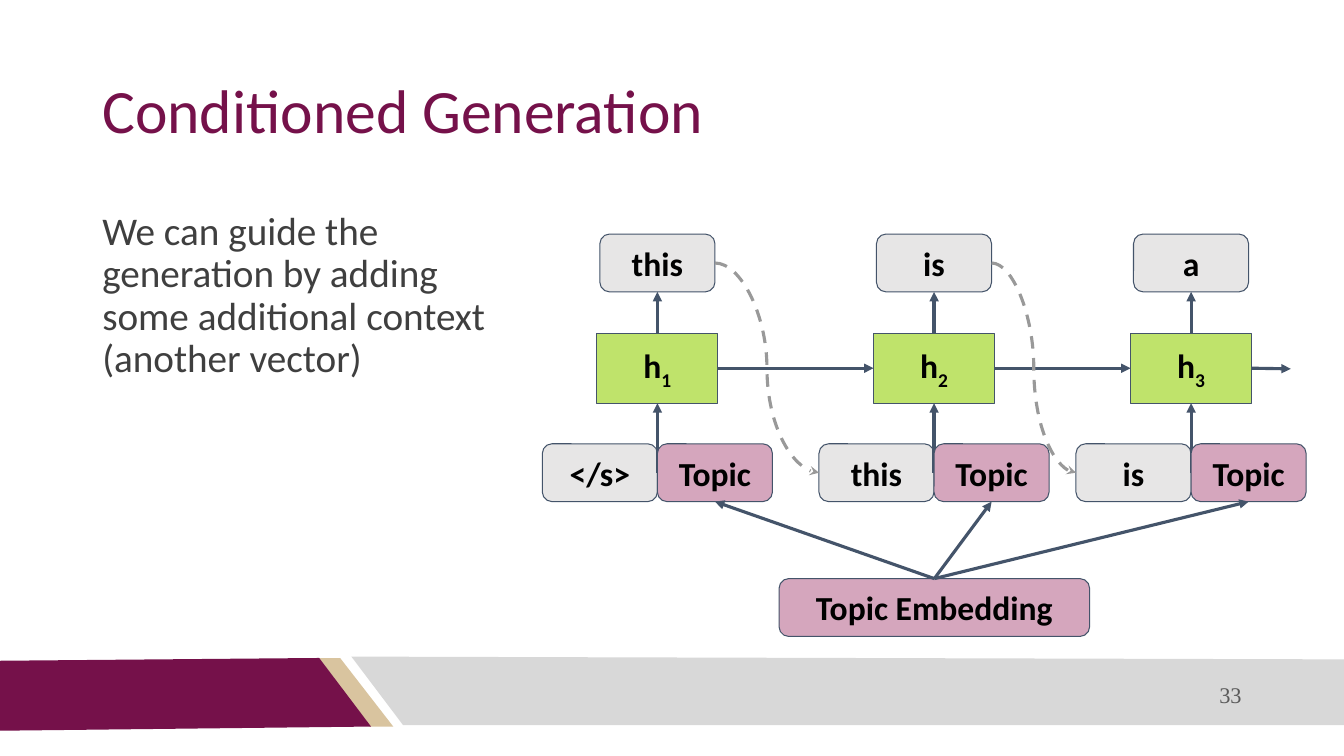
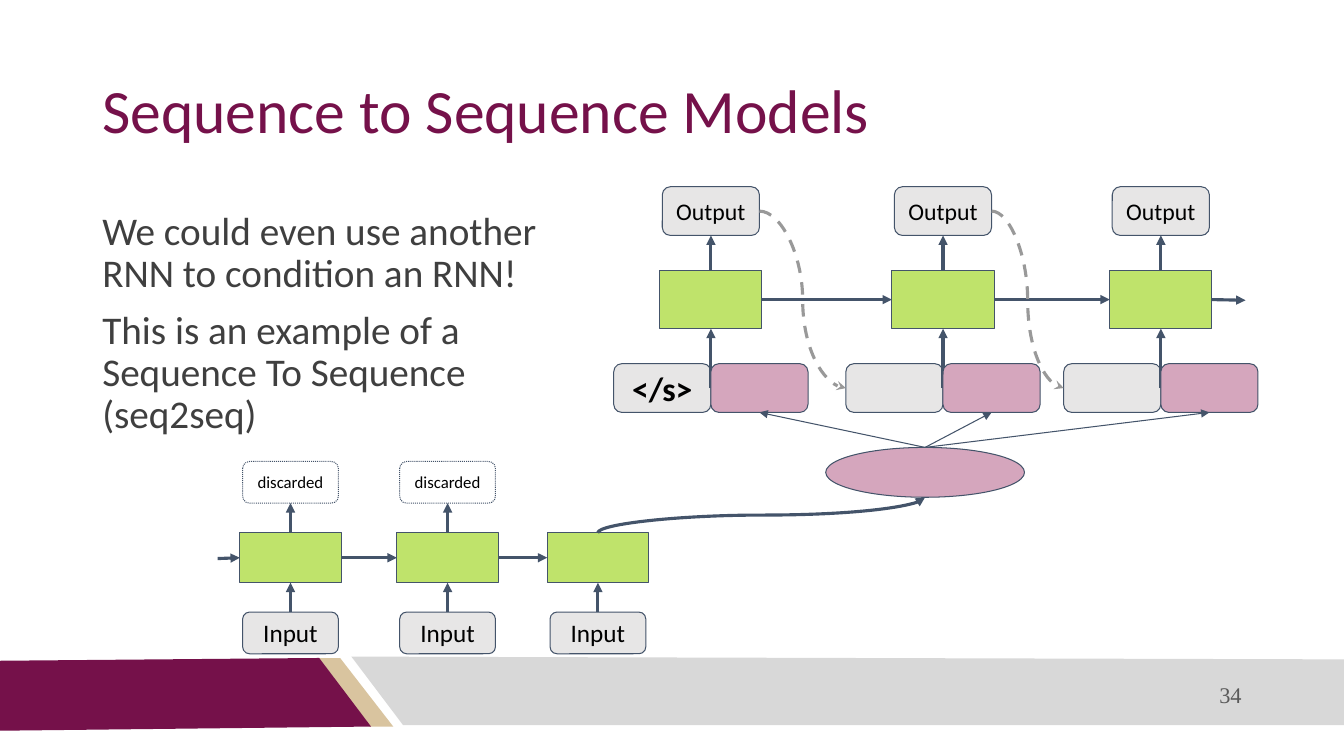
"""Build two slides on conditioned generation and sequence to sequence models."""
from lxml import etree
from pptx import Presentation
from pptx.dml.color import RGBColor
from pptx.enum import dml, shapes, text
from pptx.oxml import ns
from pptx.util import Pt

PLUM = RGBColor(0x75, 0x11, 0x4A)
TAN = RGBColor(0xD9, 0xC4, 0x9F)
SILVER = RGBColor(0xD8, 0xD8, 0xD8)
INK = RGBColor(0x3F, 0x3F, 0x3F)
SLATE = RGBColor(0x59, 0x59, 0x59)
BLACK = RGBColor(0, 0, 0)
WHITE = RGBColor(0xFF, 0xFF, 0xFF)
LIME = RGBColor(0xB0, 0xDD, 0x46)
PINK = RGBColor(0xD5, 0xA6, 0xBD)
MIST = RGBColor(0xE7, 0xE6, 0xE6)
NAVY = RGBColor(0x44, 0x54, 0x6A)
GREY = RGBColor(0x99, 0x99, 0x99)

RECT = shapes.MSO_SHAPE.RECTANGLE
ROUND = shapes.MSO_SHAPE.ROUNDED_RECTANGLE
OVAL = shapes.MSO_SHAPE.OVAL
LINE = shapes.MSO_CONNECTOR.STRAIGHT
CURVE = shapes.MSO_CONNECTOR.CURVE
MIDDLE = text.MSO_ANCHOR.MIDDLE
LEFT, CENTER, RIGHT = text.PP_ALIGN.LEFT, text.PP_ALIGN.CENTER, text.PP_ALIGN.RIGHT
TOP, WEST, BASE, EAST = range(4)

BANDS = [
    (TAN, [(227.5, 470), (243.4, 470), (280.8, 519), (264.2, 519)]),
    (PLUM, [(0, 471.6), (228.2, 470.2), (265, 519), (0, 522)]),
    (SILVER, [(251.3, 468.7), (960, 471), (960, 517.7), (288, 517.7)]),
]

PAGES = [
    dict(
        title="Conditioned Generation", number="33", width=313,
        body=["We can guide the generation by adding some additional context (another vector)"],
        mids=[469.6, 667.2, 850.8], cell=(86.4, 50), pill=(82.2, 41.3),
        rows=(167.2, 238, 317), tip=28, size=24, bold=True,
        outs=["this", "is", "a"], marks=["1", "2", "3"],
        ins=["</s>", "this", "is"], topic="Topic",
        hub=(ROUND, (556.5, 413.3, 221.8, 41.3), "Topic Embedding"), ray=2.25,
    ),
    dict(
        title="Sequence to Sequence Models", number="34", width=360,
        body=["We could even use another RNN to condition an RNN!",
              "This is an example of a Sequence To Sequence (seq2seq)"],
        mids=[507.8, 673.6, 829.2], cell=(73, 41.6), pill=(69.4, 34.8),
        rows=(133.4, 193.2, 259.8), tip=24, size=17, bold=False,
        outs=["Output"] * 3, marks=[""] * 3,
        ins=["</s>", "", ""], topic="",
        hub=(OVAL, (589.8, 319.6, 142, 35.6), ""), ray=0.75,
    ),
]


def box(page, form, area, lines=(), fill=None, size=24, bold=False, hue=BLACK,
        face="Calibri", align=CENTER, anchor=MIDDLE, gap=1, sub=""):
    """Add a shape, or a text box when form is None, with its text."""
    area = [Pt(v) for v in area]
    if form is None:
        shape = page.shapes.add_textbox(*area)
    else:
        shape = page.shapes.add_shape(form, *area)
        shape.shadow.inherit = False
        shape.fill.solid()
        shape.fill.fore_color.rgb = fill
        shape.line.color.rgb = NAVY
        shape.line.width = Pt(0.75)
    frame = shape.text_frame
    frame.word_wrap = True
    frame.vertical_anchor = anchor
    for side in ("left", "top", "right", "bottom"):
        setattr(frame, "margin_" + side, Pt(7.2))
    for i, words in enumerate(lines):
        para = frame.add_paragraph() if i else frame.paragraphs[0]
        para.alignment = align
        para.line_spacing = gap
        if i:
            para.space_before = Pt(10)
        for part in filter(None, (words, sub)):
            run = para.add_run()
            run.text = part
            run.font.color.rgb = hue
            for key, value in dict(name=face, size=Pt(size), bold=bold).items():
                setattr(run.font, key, value)
        if sub:
            run.font._element.set("baseline", "-25000")
    return shape


def link(page, start=None, stop=None, ends=(0, 0, 0, 0), kind=LINE,
         hue=NAVY, width=2.25, dash=None, head="triangle"):
    """Add an arrow, joined to a (shape, side) pair at either end."""
    line = page.shapes.add_connector(kind, *[Pt(v) for v in ends])
    if start:
        line.begin_connect(*start)
    if stop:
        line.end_connect(*stop)
    line.line.color.rgb = hue
    line.line.width = Pt(width)
    if dash:
        line.line.dash_style = dash
    props = line._element.spPr
    etree.SubElement(props.find(ns.qn("a:ln")), ns.qn("a:tailEnd"), type=head)
    etree.SubElement(props, ns.qn("a:effectLst"))
    return line


deck = Presentation()
deck.slide_width, deck.slide_height = Pt(960), Pt(540)

for plan in PAGES:
    page = deck.slides.add_slide(deck.slide_layouts[6])
    for hue, spots in BANDS:
        pen = page.shapes.build_freeform(*spots[0], scale=Pt(1))
        pen.add_line_segments(spots[1:], close=True)
        band = pen.convert_to_shape()
        band.shadow.inherit = False
        band.fill.solid()
        band.fill.fore_color.rgb = hue
        band.line.fill.background()
    box(page, None, (66, 28.8, 828, 104.4), [plan["title"]],
        size=44, hue=PLUM, align=LEFT, gap=0.9)
    box(page, None, (66, 144, plan["width"], 300), plan["body"], size=28, hue=INK,
        align=LEFT, anchor=text.MSO_ANCHOR.TOP, gap=0.9)
    box(page, None, (570, 481.7, 324, 28.8), [plan["number"]],
        size=16, hue=SLATE, face="Times New Roman", align=RIGHT)

    wide, high = plan["cell"]
    long, tall = plan["pill"]
    above, level, below = plan["rows"]
    cells, outs, feeds, topics = [], [], [], []
    for mid, out, mark, word in zip(plan["mids"], plan["outs"], plan["marks"], plan["ins"]):
        cell = box(page, RECT, (mid - wide / 2, level, wide, high),
                   ["h"] if mark else [], LIME, bold=True, sub=mark)
        top = box(page, ROUND, (mid - long / 2, above, long, tall), [out], MIST,
                  size=plan["size"], bold=plan["bold"])
        feed = box(page, ROUND, (mid - long, below, long, tall),
                   [word] if word else [], MIST, bold=True)
        link(page, (feed, EAST), (cell, BASE))
        link(page, (cell, TOP), (top, BASE))
        topic = box(page, ROUND, (mid, below, long, tall),
                    [plan["topic"]] if plan["topic"] else [], PINK, bold=True)
        if cells:
            link(page, (cells[-1], EAST), (cell, WEST))
            link(page, (outs[-1], EAST), (feed, WEST), kind=CURVE, hue=GREY,
                 dash=dml.MSO_LINE.DASH, head="stealth")
        cells.append(cell)
        outs.append(top)
        topics.append(topic)
    edge, axis = plan["mids"][-1] + wide / 2, level + high / 2
    link(page, (cells[-1], EAST), ends=(edge, axis, edge + plan["tip"], axis + 0.5))
    form, area, words = plan["hub"]
    hub = box(page, form, area, [words] if words else [], PINK, bold=True)
    for topic in topics:
        link(page, (hub, TOP), (topic, BASE), width=plan["ray"])

    if form == OVAL:
        last = None
        for mid, word in ((207.5, "discarded"), (319.7, "discarded"), (427.1, "")):
            cell = box(page, RECT, (mid - 36.2, 380.6, 72.4, 35.6), fill=LIME)
            feed = box(page, ROUND, (mid - 34.2, 437.2, 68.4, 29.8), ["Input"], MIST, size=18)
            link(page, (feed, TOP), (cell, BASE))
            if word:
                drop = box(page, ROUND, (mid - 34.2, 329.6, 68.4, 29.8), [word], WHITE, size=12)
                drop.line.dash_style = dml.MSO_LINE.ROUND_DOT
                link(page, (cell, TOP), (drop, BASE))
            if last:
                link(page, (last, EAST), (cell, WEST))
            else:
                link(page, stop=(cell, WEST), ends=(155.5, 399, 171.3, 398.4))
            cells.append(cell)
            last = cell
        bend = link(page, ends=(531.2, 251, 556.6, 484.8), kind=CURVE)
        bend._element.spPr.xfrm.set("rot", "16200000")

    for cell in cells:
        tint = cell._element.spPr.find(ns.qn("a:solidFill"))[0]
        etree.SubElement(tint, ns.qn("a:alpha"), val="80000")

deck.save("out.pptx")
